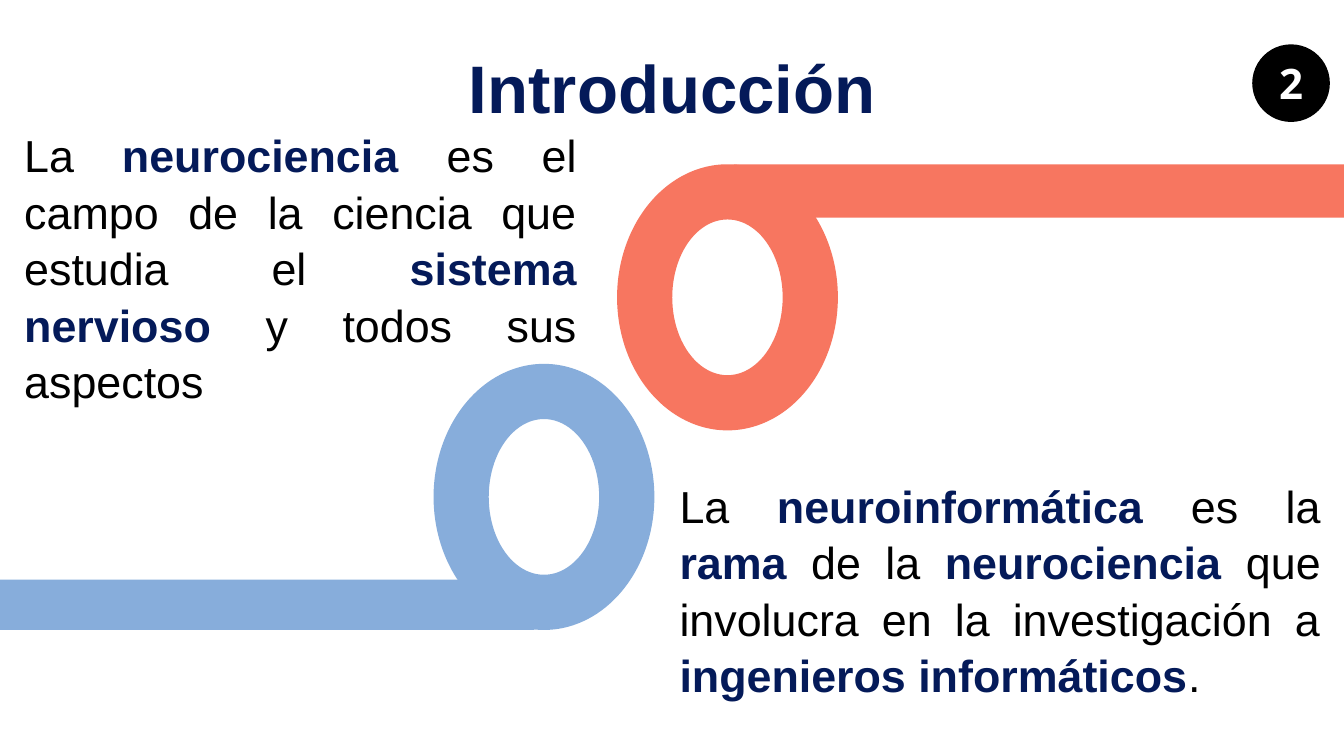
from dataclasses import dataclass

from pptx import Presentation
from pptx.dml.color import RGBColor
from pptx.enum.shapes import MSO_SHAPE as Preset
from pptx.enum.text import MSO_ANCHOR as Anchor, MSO_AUTO_SIZE as AutoSize, PP_ALIGN as Align
from pptx.util import Inches, Pt

NAVY, BLACK, WHITE = "041A59", "000000", "FFFFFF"
CORAL, SKY = "F77660", "87ADDB"


@dataclass
class Box:
    left: float
    top: float
    width: float
    height: float

    def lengths(self) -> tuple:
        return tuple(Inches(v) for v in (self.left, self.top, self.width, self.height))


@dataclass
class Piece:
    preset: Preset
    box: Box
    color: str


@dataclass
class Definition:
    box: Box
    phrases: list[str]


DEFINITIONS = [
    Definition(Box(0.24, 0.98, 5.48, 3.33), [
        "La ", "neurociencia", " es el campo de la ciencia que estudia el ",
        "sistema nervioso", " y todos sus aspectos"]),
    Definition(Box(6.74, 4.59, 6.36, 2.5), [
        "La ", "neuroinformática", " es la ", "rama", " de la ", "neurociencia ",
        "que involucra en la investigación a ", "ingenieros informáticos", "."]),
]

RIBBONS = [
    Piece(Preset.DONUT, Box(6.12, 1.63, 2.19, 2.64), CORAL),
    Piece(Preset.RECTANGLE, Box(7.28, 1.63, 6.05, 0.53), CORAL),
    Piece(Preset.RECTANGLE, Box(0, 5.75, 5.3, 0.5), SKY),
    Piece(Preset.DONUT, Box(4.3, 3.61, 2.19, 2.64), SKY),
]


def rgb(color: str) -> RGBColor:
    return RGBColor.from_string(color)


def style_font(font, name: str, size: float, color: str, bold: bool) -> None:
    font.name, font.size, font.bold = name, Pt(size), bold
    font.color.rgb = rgb(color)


def prepare_frame(frame) -> None:
    frame.word_wrap = True
    frame.auto_size = AutoSize.NONE
    frame.vertical_anchor = Anchor.MIDDLE
    frame.margin_left = frame.margin_top = frame.margin_right = frame.margin_bottom = 0


def draw_piece(slide, piece: Piece):
    shape = slide.shapes.add_shape(piece.preset, *piece.box.lengths())
    shape.shadow.inherit = False
    shape.fill.solid()
    shape.fill.fore_color.rgb = rgb(piece.color)
    shape.line.fill.background()
    return shape


def draw_title(slide, text: str) -> None:
    title = slide.shapes.title
    title.left, title.top, title.width, title.height = Box(1.55, 0.48, 10.24, 0.75).lengths()
    prepare_frame(title.text_frame)
    title.text_frame.text = text
    heading = title.text_frame.paragraphs[0]
    heading.alignment = Align.CENTER
    style_font(heading.font, "Arial", 48, NAVY, True)


def draw_page_number(slide, number: str) -> None:
    badge = draw_piece(slide, Piece(Preset.OVAL, Box(12.42, 0.44, 0.77, 0.77), BLACK))
    prepare_frame(badge.text_frame)
    badge.text_frame.text = number
    digit = badge.text_frame.paragraphs[0]
    digit.alignment = Align.CENTER
    style_font(digit.font, "Open Sans", 30, WHITE, True)


def draw_definition(slide, definition: Definition) -> None:
    frame = slide.shapes.add_textbox(*definition.box.lengths()).text_frame
    prepare_frame(frame)
    sentence = frame.paragraphs[0]
    sentence.alignment = Align.JUSTIFY
    sentence.line_spacing = 1.05
    for index, phrase in enumerate(definition.phrases):
        run = sentence.add_run()
        run.text = phrase
        is_term = index % 2 == 1
        style_font(run.font, "Arial", 32, NAVY if is_term else BLACK, is_term)


def main() -> None:
    deck = Presentation()
    deck.slide_width, deck.slide_height = Inches(13.33), Inches(7.5)
    slide = deck.slides.add_slide(deck.slide_layouts[5])
    draw_title(slide, "Introducción")
    draw_page_number(slide, "2")
    for definition in DEFINITIONS:
        draw_definition(slide, definition)
    for ribbon in RIBBONS:
        draw_piece(slide, ribbon)
    deck.save("out.pptx")


if __name__ == "__main__":
    main()
